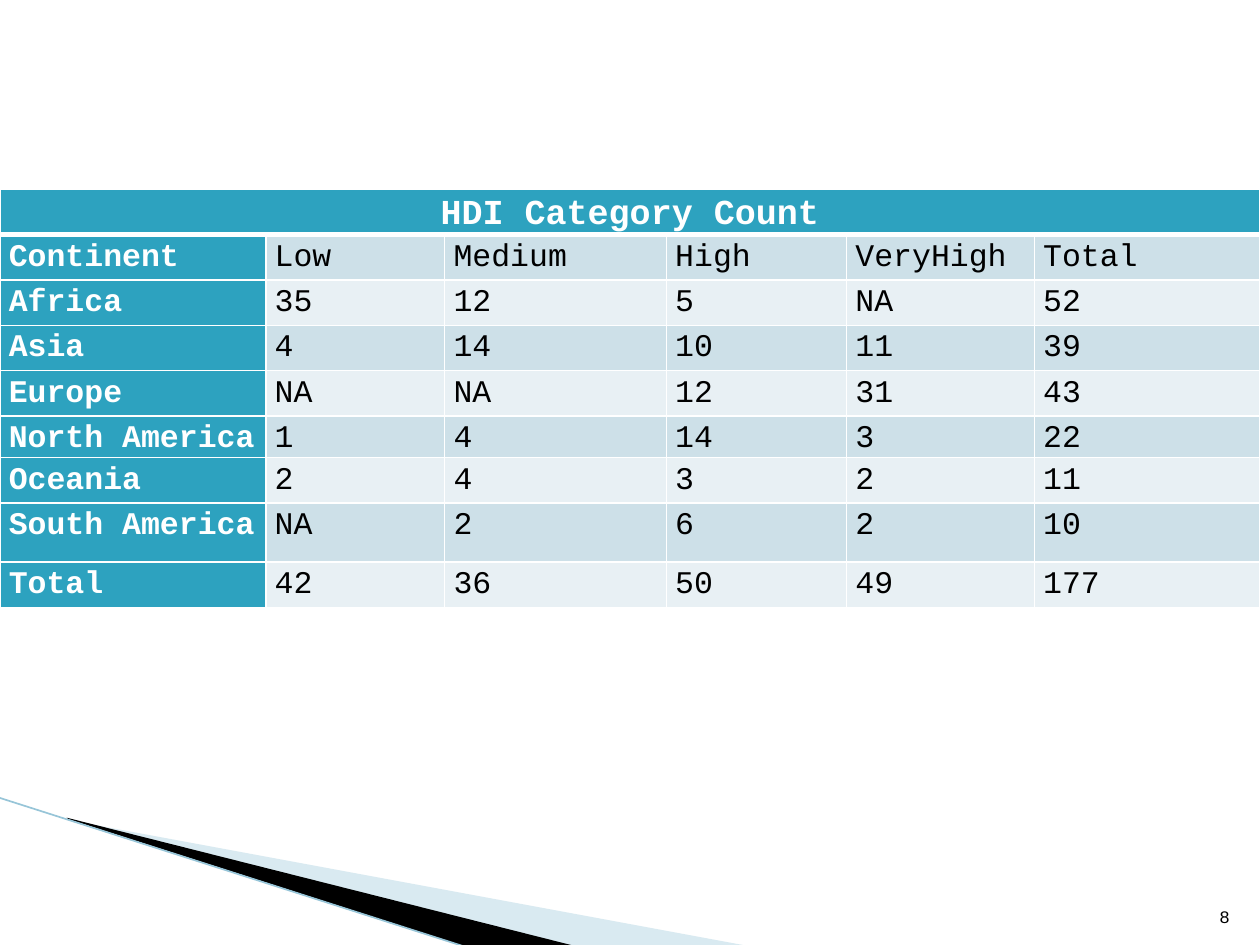
from dataclasses import dataclass
from typing import Any

from lxml.etree import SubElement
from pptx import Presentation
from pptx.dml.color import RGBColor
from pptx.enum.shapes import MSO_CONNECTOR as Connector
from pptx.enum.text import MSO_ANCHOR as Anchor, PP_ALIGN as Align
from pptx.oxml.ns import qn
from pptx.util import Inches, Pt

TITLE = "HDI Category Count"
COUNTS = [
    ["Continent", "Low", "Medium", "High", "VeryHigh", "Total"],
    ["Africa", "35", "12", "5", "NA", "52"],
    ["Asia", "4", "14", "10", "11", "39"],
    ["Europe", "NA", "NA", "12", "31", "43"],
    ["North America", "1", "4", "14", "3", "22"],
    ["Oceania", "2", "4", "3", "2", "11"],
    ["South America", "NA", "2", "6", "2", "10"],
    ["Total", "42", "36", "50", "49", "177"],
]
COLUMN_WIDTHS = [21.1, 14.2, 17.6, 14.3, 14.9, 17.9]
ROW_HEIGHTS = [3.6] * 5 + [3.3, 3.6, 4.7, 3.6]


def color(value):
    """Turn a hex string into a colour."""
    return RGBColor.from_string(value)


def grid(cells):
    """Turn cells of the 100 by 75 slide grid into a length."""
    return Inches(cells / 10)


@dataclass
class SlideBuilder:
    """Holds the style and the current slide."""

    slide: Any
    font: str = "Courier New"
    accent: str = "2DA2BF"
    bands: tuple = ("E8F0F4", "CDE0E8")
    light: str = "FFFFFF"
    dark: str = "000000"

    def run(self, paragraph, text, size, ink, bold=False):
        """Add one styled run."""
        run = paragraph.add_run()
        run.text = text
        run.font.name, run.font.size, run.font.bold = self.font, Pt(size), bold
        run.font.color.rgb = color(ink)

    def wedge(self, points, fill, opacity=100):
        """Draw a closed outline without a line."""
        start, *rest = [(grid(x), grid(y)) for x, y in points]
        builder = self.slide.shapes.build_freeform(*start)
        builder.add_line_segments(rest, close=True)
        shape = builder.convert_to_shape()
        shape.shadow.inherit = False
        shape.fill.solid()
        shape.fill.fore_color.rgb = color(fill)
        shape.line.fill.background()
        if opacity < 100:
            tint = shape._element.spPr.find(".//" + qn("a:srgbClr"))
            SubElement(tint, qn("a:alpha"), val=str(opacity * 1000))

    def line(self, start, end, ink, width):
        """Draw a straight line."""
        ends = [grid(value) for value in (*start, *end)]
        connector = self.slide.shapes.add_connector(Connector.STRAIGHT, *ends)
        connector.line.color.rgb = color(ink)
        connector.line.width = Pt(width)
        SubElement(connector._element.spPr, qn("a:effectLst"))

    def borders(self, cell, top, bottom):
        """Give a cell its four borders."""
        properties = cell._tc.get_or_add_tcPr()
        for side, width in zip("LRTB", (1, 1, top, bottom)):
            border = SubElement(properties, qn(f"a:ln{side}"), w=str(Pt(width)))
            fill = SubElement(border, qn("a:solidFill"))
            SubElement(fill, qn("a:srgbClr"), val=self.light)

    def cell(self, cell, text, row, column):
        """Style and fill one table cell."""
        title, header = row == 0, row == 0 or column == 0
        self.borders(cell, 3 if row == 1 else 1, 3 if title else 1)
        cell.fill.solid()
        cell.fill.fore_color.rgb = color(self.accent if header else self.bands[row % 2])
        cell.margin_left = cell.margin_right = Inches(0.07)
        cell.margin_top = cell.margin_bottom = 0
        paragraph = cell.text_frame.paragraphs[0]
        paragraph.line_spacing = 1.15
        paragraph.alignment = Align.CENTER if title else Align.LEFT
        if text:
            ink = self.light if header else self.dark
            self.run(paragraph, text, 20 if title else 18, ink, header)

    def table(self, left, top, title, rows, widths, heights):
        """Add a table with a title row across all columns."""
        rows = [[title] + [""] * (len(widths) - 1)] + rows
        size = grid(sum(widths)), grid(sum(heights))
        table = self.slide.shapes.add_table(
            len(rows), len(widths), grid(left), grid(top), *size).table
        table.first_row = table.horz_banding = False
        for column, width in zip(table.columns, widths):
            column.width = grid(width)
        for row, height in zip(table.rows, heights):
            row.height = grid(height)
        for row, texts in enumerate(rows):
            for column, text in enumerate(texts):
                self.cell(table.cell(row, column), text, row, column)
        table.cell(0, 0).merge(table.cell(0, len(widths) - 1))

    def page_number(self, left, top, side, text):
        """Add the page number in a square box."""
        box = self.slide.shapes.add_textbox(grid(left), grid(top), grid(side), grid(side))
        frame = box.text_frame
        frame.word_wrap = True
        frame.vertical_anchor = Anchor.BOTTOM
        paragraph = frame.paragraphs[0]
        paragraph.alignment = Align.RIGHT
        self.run(paragraph, text, 10, self.dark)


def main():
    """Build and save the slide."""
    presentation = Presentation()
    presentation.slide_width, presentation.slide_height = grid(100), grid(75)
    builder = SlideBuilder(presentation.slides.add_slide(presentation.slide_layouts[6]))
    builder.wedge([(5.5, 65.1), (59.5, 75.1), (45.6, 75.1), (5.5, 65)], "A0CBDC", 40)
    builder.wedge([(5.3, 64.9), (45.7, 75.1), (37.2, 75.2), (5.4, 65)], builder.dark)
    builder.line((-0.1, 63.3), (37.1, 75.2), "97C5D8", 0.95)
    builder.table(0, 15, TITLE, COUNTS, COLUMN_WIDTHS, ROW_HEIGHTS)
    builder.page_number(94.6, 70.1, 4, "8")
    presentation.save("out.pptx")


if __name__ == "__main__":
    main()
